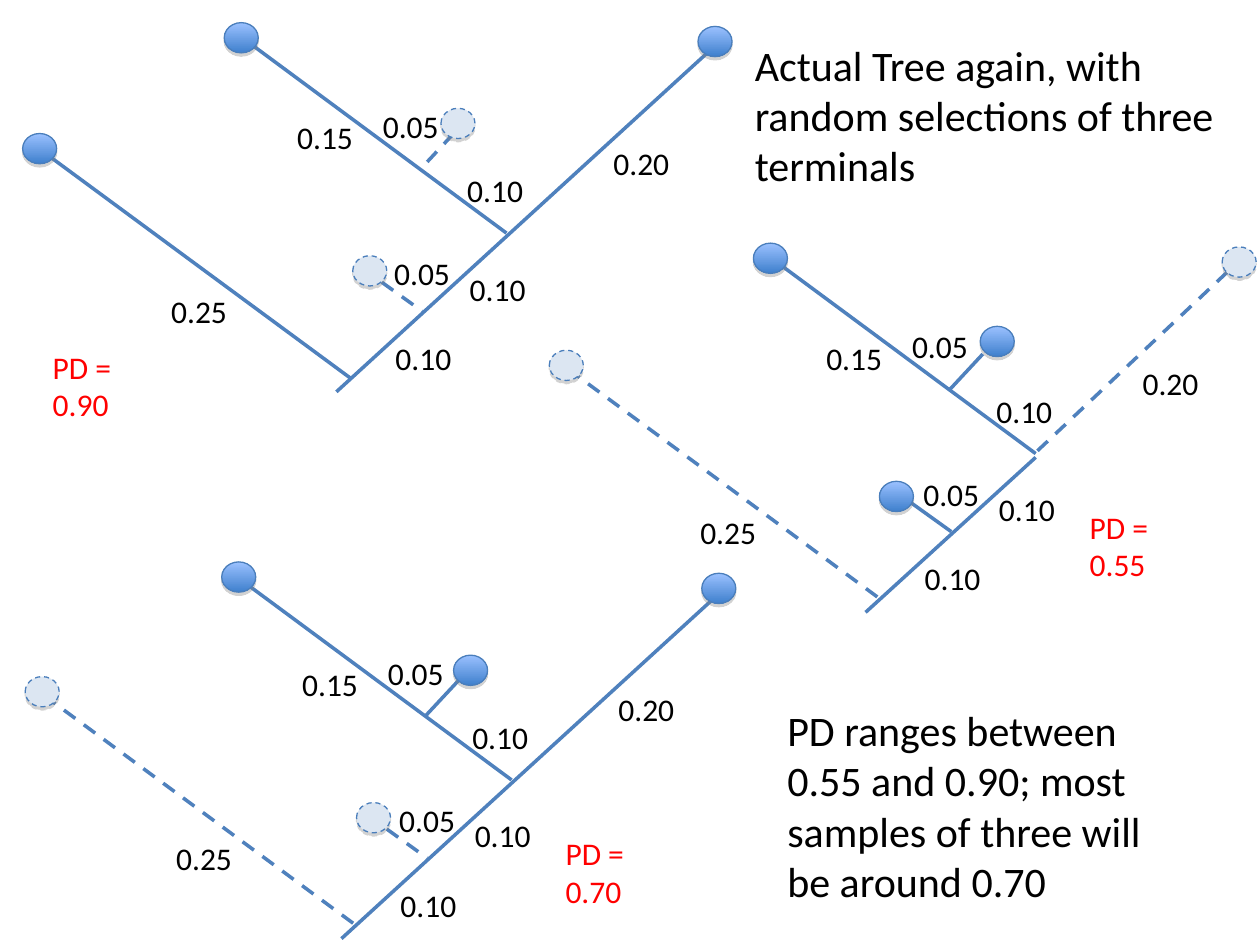
import pptx
import pptx.util
import pptx.dml.color
import pptx.enum.dml
import pptx.enum.shapes
import pptx.enum.text
import pptx.oxml
import pptx.oxml.ns

Inches = pptx.util.Inches
Pt = pptx.util.Pt
DASH = pptx.enum.dml.MSO_LINE.DASH
FONT = "Calibri"
COLORS = {
    "text": "000000",
    "score": "FF0000",
    "branch": "4F81BD",
    "rim": "4A7EBB",
    "light": "9BC1FF",
    "deep": "3F80CD",
    "pale": "DCE6F2",
    "shade": "808080",
}

# Branches and labels, measured from the corner of a tree's box
BRANCHES = {
    "left": (0.31, 1.18, 2.78, 3),
    "low": (3.03, 2.24, 3.35, 2.47),
    "top": (1.91, 0.29, 4.02, 1.85),
    "twig": (3.6, 1.06, 3.33, 1.35),
}
STEM = (5.69, 0.35, 2.67, 3.11)
SPLIT = (4.02, 1.88, 2.67, 3.11)
OUTER = (5.54, 0.41, 4, 1.86)
LABELS = [
    ("0.10", 3.04, 2.64), ("0.10", 3.63, 2.09), ("0.25", 1.26, 2.27),
    ("0.15", 2.26, 0.89), ("0.10", 3.61, 1.31), ("0.20", 4.77, 1.09),
    ("0.05", 2.94, 0.8), ("0.05", 3.03, 1.97),
]

# Each tree: corner, score and its place, terminals, and those selected
TREES = [
    (0, 0, ("PD = 0.90", 0.32, 2.71),
     {"left": (0.18, 1.06), "right": (5.54, 0.21), "top": (1.78, 0.18),
      "twig": (3.5, 0.86), "low": (2.8, 2.03)},
     {"left", "right", "top"}),
    (4.2, 1.75, ("PD = 0.55", 4.35, 2.23),
     {"low": (2.78, 2.07), "twig": (3.58, 0.84), "top": (1.78, 0.18),
      "right": (5.5, 0.21), "left": (0.16, 1.03)},
     {"low", "twig", "top"}),
    (0.04, 4.34, ("PD = 0.70", 4.35, 2.23),
     {"top": (1.72, 0.12), "right": (5.53, 0.21), "twig": (3.56, 0.86),
      "left": (0.16, 1.03), "low": (2.79, 2.03)},
     {"top", "right", "twig"}),
]


def rgb(name):
    return pptx.dml.color.RGBColor.from_string(COLORS[name])


def write(shape, lines, size, color="text", wrap=True):
    frame = shape.text_frame
    frame.text = "\n".join(lines)
    frame.word_wrap = wrap
    frame.auto_size = pptx.enum.text.MSO_AUTO_SIZE.SHAPE_TO_FIT_TEXT
    frame.vertical_anchor = pptx.enum.text.MSO_ANCHOR.TOP
    for para in frame.paragraphs:
        para.alignment = pptx.enum.text.PP_ALIGN.LEFT
        for run in para.runs:
            run.font.size = Pt(size)
            run.font.name = FONT
            run.font.color.rgb = rgb(color)


def add_label(slide, x, y, text, width=0.64, color="text"):
    box = slide.shapes.add_textbox(
        Inches(x), Inches(y), Inches(width), Inches(0.4))
    write(box, [text], 18, color, wrap=False)


def add_branch(slide, x, y, ends, kept):
    x1, y1, x2, y2 = ends
    line = slide.shapes.add_connector(
        pptx.enum.shapes.MSO_CONNECTOR.STRAIGHT,
        Inches(x + x1), Inches(y + y1), Inches(x + x2), Inches(y + y2))
    line.line.color.rgb = rgb("branch")
    line.line.width = Pt(2)
    if not kept:
        line.line.dash_style = DASH
    props = line._element.spPr
    props.append(pptx.oxml.parse_xml(
        f"<a:effectLst {pptx.oxml.ns.nsdecls('a')}/>"))


def add_node(slide, x, y, kept):
    node = slide.shapes.add_shape(
        pptx.enum.shapes.MSO_SHAPE.OVAL,
        Inches(x), Inches(y), Inches(0.27), Inches(0.24))
    node.line.color.rgb = rgb("rim")
    node.line.width = Pt(0.75)
    if kept:
        node.fill.gradient()
        node.fill.gradient_angle = 270
        for stop, name in zip(node.fill.gradient_stops, ("light", "deep")):
            stop.color.rgb = rgb(name)
    else:
        node.fill.solid()
        node.fill.fore_color.rgb = rgb("pale")
        node.line.dash_style = DASH
    # Short drop shadow straight down
    node.shadow.inherit = False
    effects = node._element.spPr.find(pptx.oxml.ns.qn("a:effectLst"))
    effects.append(pptx.oxml.parse_xml(
        f"<a:outerShdw {pptx.oxml.ns.nsdecls('a')} blurRad='0' "
        f"dist='{Pt(1.8)}' dir='5400000' rotWithShape='0'>"
        f"<a:srgbClr val='{COLORS['shade']}'><a:alpha val='35000'/>"
        "</a:srgbClr></a:outerShdw>"))


def add_tree(slide, x, y, score, nodes, kept):
    text, dx, dy = score
    add_label(slide, x + dx, y + dy, text, 1.16, "score")
    for name, ends in BRANCHES.items():
        add_branch(slide, x, y, ends, name in kept)
    # The stem is split where its outer part is not selected
    if "right" in kept:
        add_branch(slide, x, y, STEM, True)
    else:
        add_branch(slide, x, y, SPLIT, True)
        add_branch(slide, x, y, OUTER, False)
    for name, (dx, dy) in nodes.items():
        add_node(slide, x + dx, y + dy, name in kept)
    for text, dx, dy in LABELS:
        add_label(slide, x + dx, y + dy, text)


def add_title(slide, x, y, width, height):
    title = slide.shapes.title
    title.left, title.top = Inches(x), Inches(y)
    title.width, title.height = Inches(width), Inches(height)
    write(title, ["Actual Tree again, with random selections of three "
                  "terminals"], 24)


def add_summary(slide, x, y, width, height):
    box = slide.shapes.add_textbox(
        Inches(x), Inches(y), Inches(width), Inches(height))
    write(box, ["PD ranges between", "0.55 and 0.90; most",
                "samples of three will", "be around 0.70"], 24)


def main():
    deck = pptx.Presentation()
    deck.slide_width, deck.slide_height = Inches(10), Inches(7.5)
    slide = deck.slides.add_slide(deck.slide_layouts.get_by_name("Title Only"))
    add_title(slide, 5.89, 0.26, 4.11, 1.3)
    for tree in TREES:
        add_tree(slide, *tree)
    add_summary(slide, 6.15, 5.54, 3.01, 1.7)
    deck.save("out.pptx")


if __name__ == "__main__":
    main()
